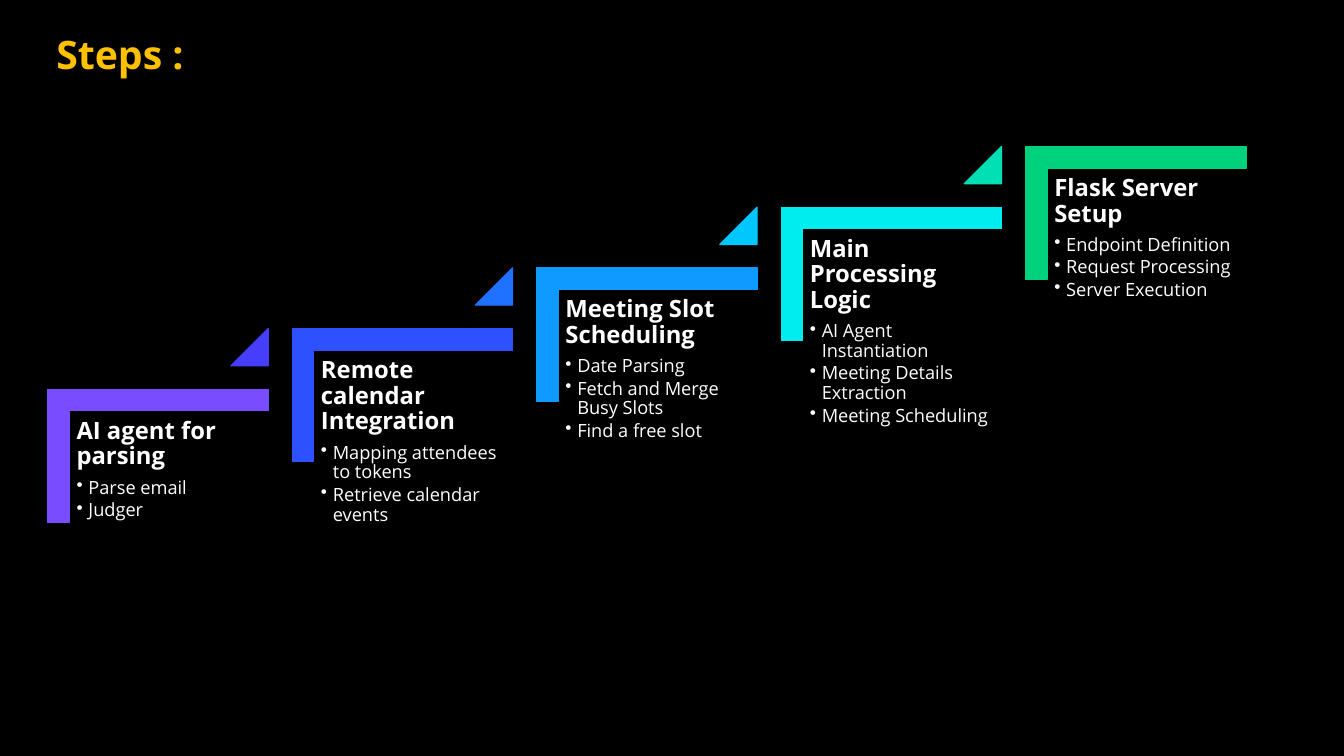
from dataclasses import dataclass

from lxml.etree import SubElement
from pptx import Presentation
from pptx.dml.color import RGBColor
from pptx.enum.shapes import MSO_AUTO_SHAPE_TYPE as Shape
from pptx.enum.text import MSO_ANCHOR, MSO_AUTO_SIZE
from pptx.oxml.ns import qn
from pptx.slide import Slide
from pptx.util import Cm, Pt

BLACK = RGBColor(0x00, 0x00, 0x00)
WHITE = RGBColor(0xFF, 0xFF, 0xFF)
GOLD = RGBColor(0xFF, 0xC0, 0x00)
PURPLE = RGBColor(0x79, 0x4D, 0xFF)
INDIGO = RGBColor(0x46, 0x3E, 0xFF)
ROYAL = RGBColor(0x2E, 0x51, 0xFF)
BLUE = RGBColor(0x1F, 0x72, 0xFF)
AZURE = RGBColor(0x0F, 0x9A, 0xFF)
SKY = RGBColor(0x00, 0xC8, 0xFF)
CYAN = RGBColor(0x00, 0xED, 0xF0)
TEAL = RGBColor(0x00, 0xE0, 0xB4)
GREEN = RGBColor(0x00, 0xD1, 0x7D)

FONT = "Open Sans"
STEP_RIGHT = 6.16
STEP_UP = 1.53
INSET = Cm(0.18)
INDENT = Cm(0.3)


@dataclass
class Step:
    heading: str
    bullets: list[str]
    color: RGBColor
    arrow: RGBColor | None = None


STEPS = [
    Step("AI agent for parsing", ["Parse email", "Judger"], PURPLE, INDIGO),
    Step("Remote calendar Integration",
         ["Mapping attendees to tokens", "Retrieve calendar events"], ROYAL, BLUE),
    Step("Meeting Slot Scheduling",
         ["Date Parsing", "Fetch and Merge Busy Slots", "Find a free slot"], AZURE, SKY),
    Step("Main Processing Logic",
         ["AI Agent Instantiation", "Meeting Details Extraction", "Meeting Scheduling"],
         CYAN, TEAL),
    Step("Flask Server Setup",
         ["Endpoint Definition", "Request Processing", "Server Execution"], GREEN),
]


def add_run(p, text: str, size: float, color: RGBColor, bold: bool) -> None:
    r = p.add_run()
    r.text = text
    r.font.name = FONT
    r.font.size = Pt(size)
    r.font.bold = bold
    r.font.color.rgb = color


def add_block(s: Slide, kind: Shape, x: float, y: float, w: float, h: float,
              color: RGBColor, adjustments: list[float], rotation: float = 0) -> None:
    sp = s.shapes.add_shape(kind, Cm(x), Cm(y), Cm(w), Cm(h))
    sp.shadow.inherit = False
    sp.rotation = rotation
    for i, value in enumerate(adjustments):
        sp.adjustments[i] = value
    sp.fill.solid()
    sp.fill.fore_color.rgb = color
    sp.line.color.rgb = color
    sp.line.width = Pt(0.85)


def add_bullet(p) -> None:
    p.level = 1
    pPr = p._p.get_or_add_pPr()
    pPr.set("marL", str(INDENT))
    pPr.set("indent", str(-INDENT))
    SubElement(pPr, qn("a:buChar")).set("char", "•")


def add_step_text(s: Slide, step: Step, x: float, y: float) -> None:
    tf = s.shapes.add_textbox(Cm(x), Cm(y), Cm(5.03), Cm(4.42)).text_frame
    tf.word_wrap = True
    tf.vertical_anchor = MSO_ANCHOR.TOP
    tf.margin_left = tf.margin_right = tf.margin_top = tf.margin_bottom = INSET
    p = tf.paragraphs[0]
    p.line_spacing = 0.9
    p.space_after = Pt(6)
    add_run(p, step.heading, 17, WHITE, True)
    for bullet in step.bullets:
        p = tf.add_paragraph()
        p.line_spacing = 0.9
        p.space_after = Pt(2)
        add_bullet(p)
        add_run(p, bullet, 13, WHITE, False)


def add_step(s: Slide, step: Step, index: int) -> None:
    x = index * STEP_RIGHT
    y = -index * STEP_UP
    add_block(s, Shape.CORNER, x + 2.31, y + 8.71, 3.35, 5.56,
              step.color, [0.161, 0.161], 90)
    add_step_text(s, step, x + 1.75, y + 10.37)
    if step.arrow is not None:
        add_block(s, Shape.ISOSCELES_TRIANGLE, x + 5.82, y + 8.28, 0.94, 0.94,
                  step.arrow, [1])


def add_title(s: Slide, text: str) -> None:
    tf = s.shapes.add_textbox(Cm(1.17), Cm(0.64), Cm(16.94), Cm(1.45)).text_frame
    tf.word_wrap = True
    tf.auto_size = MSO_AUTO_SIZE.SHAPE_TO_FIT_TEXT
    add_run(tf.paragraphs[0], text, 28, GOLD, True)


def main() -> None:
    prs = Presentation()
    prs.slide_width = Cm(33.87)
    prs.slide_height = Cm(19.05)
    s = prs.slides.add_slide(prs.slide_layouts[6])
    s.background.fill.solid()
    s.background.fill.fore_color.rgb = BLACK
    for index, step in enumerate(STEPS):
        add_step(s, step, index)
    add_title(s, "Steps :")
    prs.save("out.pptx")


if __name__ == "__main__":
    main()
